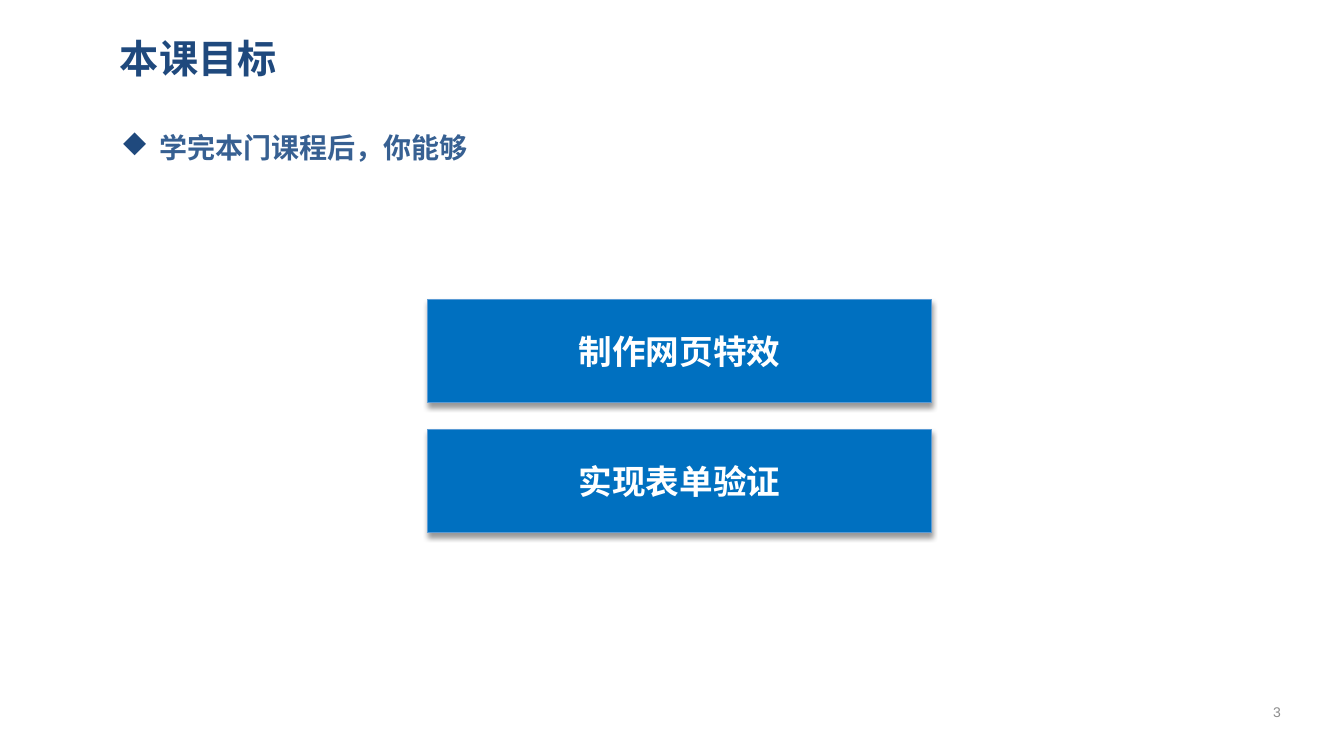
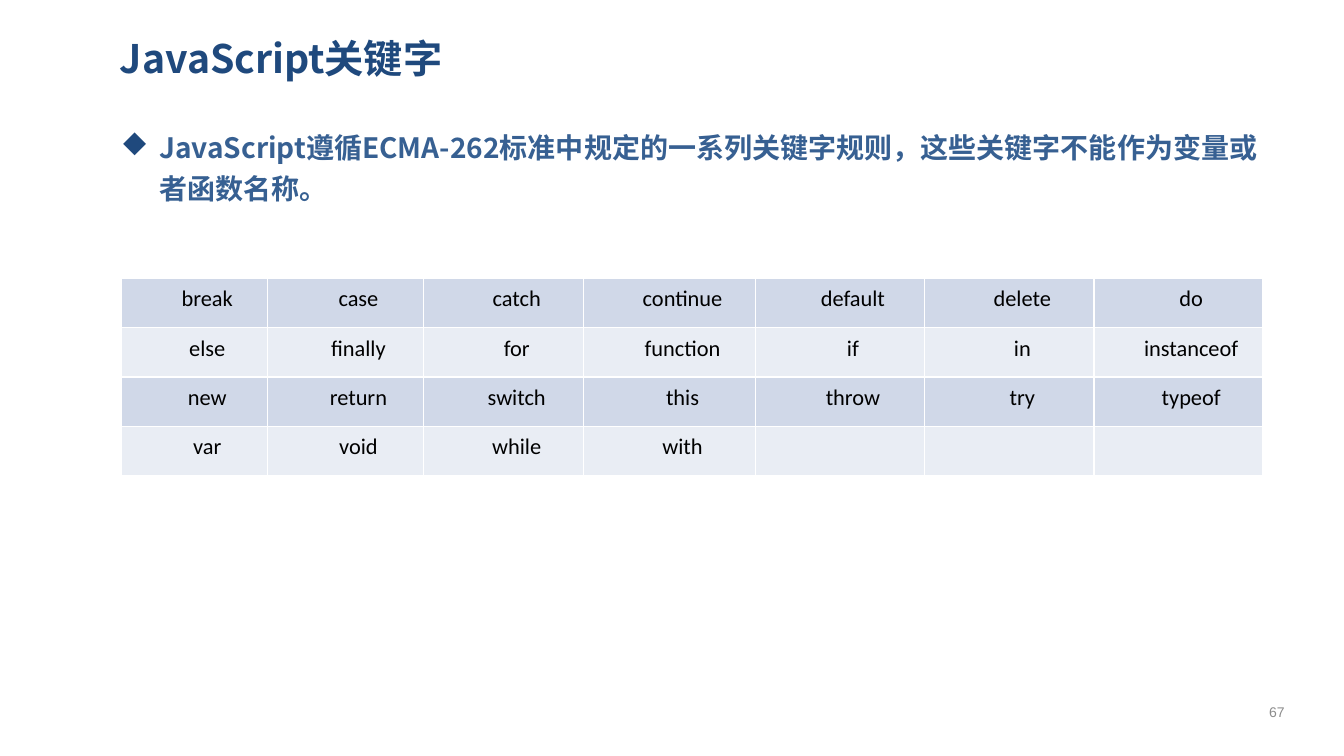
from dataclasses import dataclass

from lxml import etree
from pptx import Presentation
from pptx.dml.color import RGBColor
from pptx.enum import shapes, text
from pptx.oxml import ns
from pptx.util import Inches, Pt


@dataclass(frozen=True)
class Theme:
    title: str = "1F497D"
    body: str = "376092"
    box: str = "0070C0"
    box_line: str = "5B9BD5"
    shadow: str = "000000"
    white: str = "FFFFFF"
    number: str = "8C8C8C"
    cell_text: str = "000000"
    bands: tuple = ("D0D8E8", "E9EDF4")
    cjk_font: str = "Noto Sans CJK SC"
    label_font: str = "Arial"
    cell_font: str = "Calibri"
    title_size: int = 28
    box_size: int = 24
    body_size: int = 20
    cell_size: int = 16
    number_size: int = 10


theme = Theme()


def add_element(parent, tag, **attributes):
    element = etree.SubElement(parent, ns.qn(tag))
    for name, value in attributes.items():
        element.set(name, str(value))
    return element


def write(frame, content, font, size, color, bold=False, align=text.PP_ALIGN.LEFT,
          anchor=text.MSO_ANCHOR.MIDDLE, insets=(0.09, 0.04)):
    across, down = (Inches(inset) for inset in insets)
    frame_format = {
        "word_wrap": True, "auto_size": text.MSO_AUTO_SIZE.NONE, "vertical_anchor": anchor,
        "margin_left": across, "margin_right": across, "margin_top": down, "margin_bottom": down,
    }
    for name, value in frame_format.items():
        setattr(frame, name, value)
    paragraph = frame.paragraphs[0]
    paragraph.alignment = align
    run = paragraph.add_run()
    run.text = content
    for name, value in {"name": font, "size": Pt(size), "bold": bold}.items():
        setattr(run.font, name, value)
    run.font.color.rgb = RGBColor.from_string(color)
    add_element(run.font._element, "a:ea", typeface=theme.cjk_font)
    return paragraph


presentation = Presentation()
presentation.slide_width = Inches(13.33)
presentation.slide_height = Inches(7.5)

pages = [
    ("本课目标", "学完本门课程后，你能够", "3"),
    ("JavaScript关键字",
     "JavaScript遵循ECMA-262标准中规定的一系列关键字规则，这些关键字不能作为变量或者函数名称。", "67"),
]
slides = []
for title, statement, number in pages:
    slide = presentation.slides.add_slide(presentation.slide_layouts[1])
    slides.append(slide)
    heading, body = slide.shapes.title, slide.placeholders[1]
    number_box = slide.shapes.add_textbox(0, 0, 0, 0)
    places = [
        (heading, (1.1, 0.24, 11.65, 0.67)),
        (body, (1.11, 1.19, 11.65, 5.68)),
        (number_box, (12.34, 6.86, 0.65, 0.4)),
    ]
    for shape, place in places:
        for name, value in zip(("left", "top", "width", "height"), place):
            setattr(shape, name, Inches(value))

    write(heading.text_frame, title, theme.cjk_font, theme.title_size, theme.title, bold=True)
    paragraph = write(body.text_frame, statement, theme.cjk_font, theme.body_size, theme.body,
                      bold=True, anchor=text.MSO_ANCHOR.TOP)
    paragraph.line_spacing = 1.2
    paragraph.space_before = Pt(0)
    properties = paragraph._p.get_or_add_pPr()
    properties.set("marL", str(Inches(0.38)))
    properties.set("indent", str(Inches(-0.38)))
    add_element(add_element(properties, "a:buClr"), "a:srgbClr", val=theme.title)
    add_element(properties, "a:buFont", typeface="Wingdings", charset=2)
    add_element(properties, "a:buChar", char="u")
    write(number_box.text_frame, number, theme.label_font, theme.number_size, theme.number,
          align=text.PP_ALIGN.CENTER)

goals_slide, keywords_slide = slides

for index, goal in enumerate(["制作网页特效", "实现表单验证"]):
    box = goals_slide.shapes.add_shape(
        shapes.MSO_SHAPE.RECTANGLE, Inches(4.24), Inches(2.97 + index * 1.29), Inches(5), Inches(1.02))
    box.fill.solid()
    box.fill.fore_color.rgb = RGBColor.from_string(theme.box)
    box.line.color.rgb = RGBColor.from_string(theme.box_line)
    box.line.width = Pt(0.75)
    box.shadow.inherit = False
    effects = box._element.spPr.find(ns.qn("a:effectLst"))
    shadow = add_element(effects, "a:outerShdw", blurRad=Pt(4), dist=Pt(3), dir=90 * 60000,
                         rotWithShape=0)
    add_element(add_element(shadow, "a:srgbClr", val=theme.shadow), "a:alpha", val=40000)
    write(box.text_frame, goal, theme.label_font, theme.box_size, theme.white, bold=True,
          align=text.PP_ALIGN.CENTER, insets=(0, 0))

keywords = [
    ["break", "case", "catch", "continue", "default", "delete", "do"],
    ["else", "finally", "for", "function", "if", "in", "instanceof"],
    ["new", "return", "switch", "this", "throw", "try", "typeof"],
    ["var", "void", "while", "with", "", "", ""],
]
column_widths = [1.45, 1.55, 1.59, 1.7, 1.68, 1.68, 1.67]
table = keywords_slide.shapes.add_table(
    len(keywords), len(column_widths), Inches(1.2), Inches(2.76),
    Inches(sum(column_widths)), Inches(1.96)).table
table.first_row = False
table.horz_banding = False
for column, width in zip(table.columns, column_widths):
    column.width = Inches(width)

for row_index, words in enumerate(keywords):
    for column_index, word in enumerate(words):
        cell = table.cell(row_index, column_index)
        cell.vertical_anchor = text.MSO_ANCHOR.MIDDLE
        cell.margin_left = cell.margin_right = Inches(0.07)
        cell.margin_top = cell.margin_bottom = 0
        cell_properties = cell._tc.get_or_add_tcPr()
        for side in ("L", "R", "T", "B"):
            border = add_element(cell_properties, f"a:ln{side}", w=Pt(1))
            add_element(add_element(border, "a:solidFill"), "a:srgbClr", val=theme.white)
        cell.fill.solid()
        cell.fill.fore_color.rgb = RGBColor.from_string(theme.bands[row_index % 2])
        if word:
            paragraph = cell.text_frame.paragraphs[0]
            paragraph.alignment = text.PP_ALIGN.CENTER
            paragraph.line_spacing = Pt(14)
            paragraph._p.get_or_add_pPr().set("indent", str(Inches(0.26)))
            run = paragraph.add_run()
            run.text = word
            run.font.name = theme.cell_font
            run.font.size = Pt(theme.cell_size)
            run.font.color.rgb = RGBColor.from_string(theme.cell_text)

presentation.save("out.pptx")
